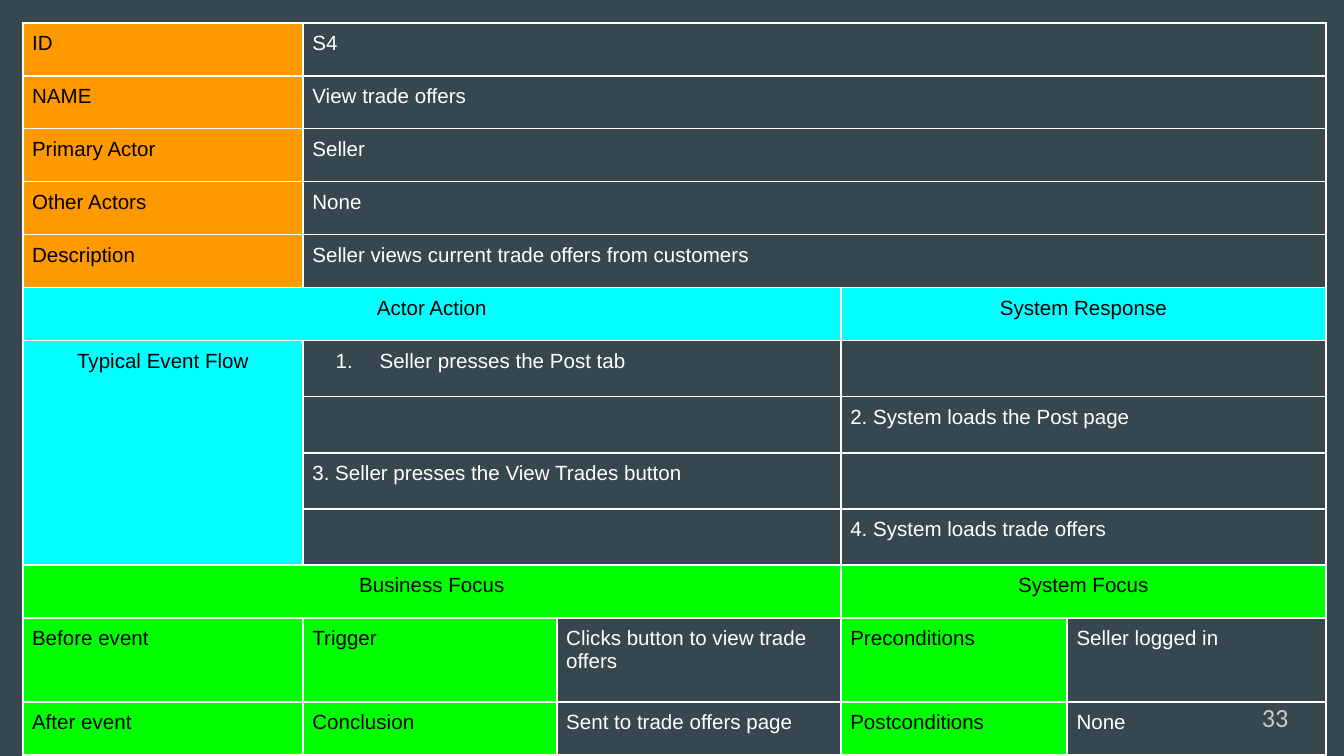
from lxml import etree
from pptx import Presentation
from pptx.dml.color import RGBColor
from pptx.enum import text
from pptx.oxml import ns
from pptx.util import Pt

SLATE = RGBColor(0x37, 0x47, 0x4F)
ORANGE = RGBColor(0xFF, 0x99, 0x00)
CYAN = RGBColor(0x00, 0xFF, 0xFF)
GREEN = RGBColor(0x00, 0xFF, 0x00)
BLACK = RGBColor(0x00, 0x00, 0x00)
WHITE = RGBColor(0xFF, 0xFF, 0xFF)
GREY = RGBColor(0xCA, 0xCA, 0xCA)

PAGE_NUMBER = "33"
SUMMARY = [
    ("ID", "S4"),
    ("NAME", "View trade offers"),
    ("Primary Actor", "Seller"),
    ("Other Actors", "None"),
    ("Description", "Seller views current trade offers from customers"),
]
FLOW_HEADS = ("Actor Action", "System Response")
FLOW_TITLE = "Typical Event Flow"
FLOW = [
    ("Seller presses the Post tab", ""),
    ("", "2. System loads the Post page"),
    ("3. Seller presses the View Trades button", ""),
    ("", "4. System loads trade offers"),
]
FOCUS_HEADS = ("Business Focus", "System Focus")
FOCUS = [
    ("Before event", "Trigger", "Clicks button to view trade offers",
     "Preconditions", "Seller logged in"),
    ("After event", "Conclusion", "Sent to trade offers page",
     "Postconditions", "None"),
]
FOCUS_LABELS = (0, 1, 3)

COLUMN_WIDTHS = [150.2, 136, 152.2, 121.2, 138.6]
ROW, FLOW_ROW, TALL_ROW = 28.4, 30.1, 45
ROW_HEIGHTS = ([ROW] * (len(SUMMARY) + 1) + [FLOW_ROW] * len(FLOW)
               + [ROW, TALL_ROW, ROW])
LEFT = TOP = 12.2
INSET = 5


def add_border(cell):
    properties = cell._tc.get_or_add_tcPr()
    for position, side in enumerate(("lnL", "lnR", "lnT", "lnB")):
        line = etree.Element(ns.qn(f"a:{side}"), w=str(Pt(1)))
        fill = etree.SubElement(line, ns.qn("a:solidFill"))
        etree.SubElement(fill, ns.qn("a:srgbClr"), val=str(WHITE))
        properties.insert(position, line)


def put(row, column, words, fill=None, rows=1, columns=1, centred=False):
    cell = table.cell(row, column)
    if rows > 1 or columns > 1:
        cell.merge(table.cell(row + rows - 1, column + columns - 1))
    if fill is not None:
        cell.fill.solid()
        cell.fill.fore_color.rgb = fill
    cell.text = words
    paragraph = cell.text_frame.paragraphs[0]
    paragraph.font.name = "Arial"
    paragraph.font.size = Pt(11)
    paragraph.font.color.rgb = WHITE if fill is None else BLACK
    if centred:
        paragraph.alignment = text.PP_ALIGN.CENTER
    return paragraph


def put_heads(row, heads, fill):
    put(row, 0, heads[0], fill, columns=3, centred=True)
    put(row, 3, heads[1], fill, columns=2, centred=True)


def number(paragraph):
    properties = paragraph._p.get_or_add_pPr()
    properties.set("marL", str(Pt(36)))
    properties.set("indent", str(-Pt(23.5)))
    colour = etree.Element(ns.qn("a:buClr"))
    etree.SubElement(colour, ns.qn("a:srgbClr"), val=str(WHITE))
    properties.insert(0, colour)
    properties.insert(1, etree.Element(ns.qn("a:buAutoNum"), type="arabicPeriod"))


deck = Presentation()
deck.slide_width, deck.slide_height = Pt(720), Pt(405)
slide = deck.slides.add_slide(deck.slide_layouts[6])
slide.background.fill.solid()
slide.background.fill.fore_color.rgb = SLATE

page = slide.shapes.add_textbox(Pt(668.9), Pt(368.6), Pt(43.2), Pt(31)).text_frame
page.word_wrap = True
page.vertical_anchor = text.MSO_ANCHOR.MIDDLE
page.margin_left = page.margin_right = page.margin_top = page.margin_bottom = Pt(7.2)
page.text = PAGE_NUMBER
page_font = page.paragraphs[0].font
page_font.name, page_font.size = "Calibri", Pt(14)
page_font.color.rgb = GREY

table = slide.shapes.add_table(
    len(ROW_HEIGHTS), len(COLUMN_WIDTHS), Pt(LEFT), Pt(TOP),
    Pt(sum(COLUMN_WIDTHS)), Pt(sum(ROW_HEIGHTS))).table
table.first_row = table.horz_banding = False
for column, width in zip(table.columns, COLUMN_WIDTHS):
    column.width = Pt(width)
for row, height in zip(table.rows, ROW_HEIGHTS):
    row.height = Pt(height)
for cell in table.iter_cells():
    cell.margin_left = cell.margin_right = cell.margin_top = cell.margin_bottom = Pt(INSET)
    cell.fill.background()
    add_border(cell)

for row, (label, value) in enumerate(SUMMARY):
    put(row, 0, label, ORANGE)
    put(row, 1, value, columns=4)

flow_top = len(SUMMARY) + 1
put_heads(flow_top - 1, FLOW_HEADS, CYAN)
put(flow_top, 0, FLOW_TITLE, CYAN, rows=len(FLOW), centred=True)
for row, (action, response) in enumerate(FLOW, flow_top):
    step = put(row, 1, action, columns=2)
    if row == flow_top:
        number(step)
    put(row, 3, response, columns=2)

focus_top = flow_top + len(FLOW) + 1
put_heads(focus_top - 1, FOCUS_HEADS, GREEN)
for row, entries in enumerate(FOCUS, focus_top):
    for column, entry in enumerate(entries):
        put(row, column, entry, GREEN if column in FOCUS_LABELS else None)

deck.save("out.pptx")
